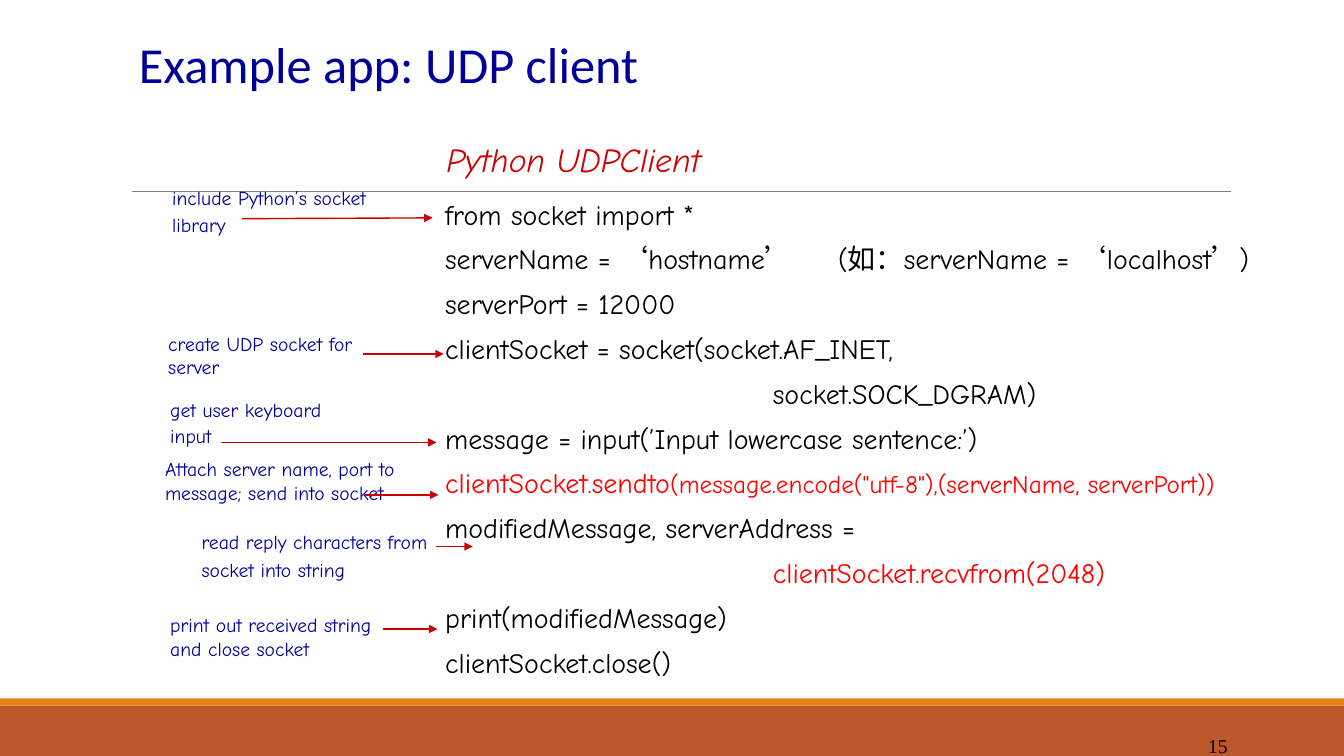
"""Build the slide that explains a UDP client in Python with annotated code."""
from dataclasses import dataclass

from lxml.etree import SubElement
from pptx import Presentation
from pptx.dml.color import RGBColor as RGB
from pptx.enum.shapes import MSO_CONNECTOR as CONN, MSO_SHAPE as SHAPE
from pptx.enum.text import MSO_ANCHOR as ANCHOR, PP_ALIGN as ALIGN
from pptx.oxml.ns import qn
from pptx.util import Cm, Pt


@dataclass(frozen=True)
class Theme:
    navy: str = "000099"
    crimson: str = "CC0000"
    red: str = "FF0000"
    black: str = "000000"
    gray: str = "808080"
    rust: str = "BD582C"
    orange: str = "E48312"
    head_font: str = "Calibri"
    body_font: str = "Comic Neue"
    page_font: str = "Times New Roman"
    title: int = 36
    heading: int = 24
    code: int = 20
    args: int = 18
    note: int = 14


T = Theme()
prs = Presentation()
prs.slide_width, prs.slide_height = Cm(33.87), Cm(19.05)
s = prs.slides.add_slide(prs.slide_layouts[6])


def add_text(box, paragraphs, size, color, font=T.body_font, anchor=ANCHOR.TOP, italic=False, **para):
    """Add a text box; a paragraph is a list of (text, overrides) runs."""
    tf = s.shapes.add_textbox(*map(Cm, box)).text_frame
    tf.word_wrap, tf.vertical_anchor = True, anchor
    for i, runs in enumerate(paragraphs):
        p = tf.paragraphs[0] if i == 0 else tf.add_paragraph()
        for name, value in para.items():
            setattr(p, name, value)
        for text, own in runs:
            r = p.add_run()
            r.text = text
            look = {"size": size, "color": color} | own
            for name, value in {"name": font, "size": Pt(look["size"]), "italic": italic}.items():
                setattr(r.font, name, value)
            r.font.color.rgb = RGB.from_string(look["color"])
    return tf


def add_line(ends, color, width, arrow=False):
    """Add a straight line, with an arrowhead at its end if asked."""
    c = s.shapes.add_connector(CONN.STRAIGHT, *map(Cm, ends))
    c.line.color.rgb, c.line.width = RGB.from_string(color), Pt(width)
    if arrow:
        SubElement(c.line._get_or_add_ln(), qn("a:tailEnd"), type="triangle")
    SubElement(c._element.spPr, qn("a:effectLst"))


for top, height, color in [(17.78, 1.27, T.rust), (17.6, 0.18, T.orange)]:
    sp = s.shapes.add_shape(SHAPE.RECTANGLE, 0, Cm(top), prs.slide_width, Cm(height))
    sp.shadow.inherit = False
    sp.fill.solid()
    sp.fill.fore_color.rgb = RGB.from_string(color)
    sp.line.fill.background()
add_line((3.33, 4.83, 31.01, 4.83), T.gray, 0.5)

add_text((3.25, 0.28, 21.59, 2.64), [[("Example app: UDP client", {})]],
         T.title, T.navy, T.head_font, ANCHOR.MIDDLE)

red = {"color": T.red}
code = [
    [("from socket import *", {})],
    [("serverName = ‘hostname’\t(如：serverName = ‘localhost’)", {})],
    [("serverPort = 12000", {})],
    [("clientSocket = socket(socket.AF_INET,", {})],
    [("socket.SOCK_DGRAM)", {})],
    [("message = input(’Input lowercase sentence:’)", {})],
    [("clientSocket.sendto", red),
     ('(message.encode("utf-8"),(serverName, serverPort))', red | {"size": T.args})],
    [("modifiedMessage, serverAddress =", {})],
    [("clientSocket.recvfrom(2048)", red)],
    [("print(modifiedMessage)", {})],
    [("clientSocket.close()", {})],
]
tf = add_text((10.97, 4.7, 22.86, 12.88), code, T.code, T.black,
              line_spacing=Pt(28), space_before=Pt(0.2 * T.code))
for p in tf.paragraphs:
    pPr = p._p.get_or_add_pPr()
    if p.text.startswith(("socket.", "clientSocket.recvfrom")):
        pPr.set("marL", str(Cm(8.26)))
    if "\t" in p.text:
        SubElement(SubElement(pPr, qn("a:tabLst")), qn("a:tab"), pos=str(Cm(9.9)), algn="l")

add_text((11, 3.38, 7.62, 1.3), [[("Python UDPClient", {})]], T.heading, T.crimson,
         italic=True, space_before=Pt(0.2 * T.heading))

tight = Pt(16)
notes = [
    (["include Python’s socket", "library"], (4.09, 4.6, 6.02, 1.52), tight, (6.1, 5.51, 10.9, 5.49)),
    (["create UDP socket for server"], (3.99, 8.23, 6.3, 1.45), None, (9.14, 8.92, 11.18, 8.92)),
    (["get user keyboard", "input"], (4.04, 9.93, 4.72, 1.52), tight, (5.56, 11.15, 11, 11.15)),
    (["Attach server name, port to message; send into socket"],
     (3.91, 11.4, 6.53, 2.06), None, (9.19, 12.47, 11.05, 12.47)),
    (["print out received string and close socket"],
     (4.04, 15.32, 6.53, 1.45), None, (9.65, 15.85, 11.02, 15.85)),
    (["read reply characters from", "socket into string"],
     (4.83, 13.23, 6.53, 2.16), None, (11, 13.77, 11.91, 13.77)),
]
for lines, box, spacing, ends in notes:
    add_text(box, [[(line, {})] for line in lines], T.note, T.navy,
             line_spacing=spacing, space_before=Pt(0.2 * T.note))
    add_line(ends, T.crimson, 1, arrow=True)

add_text((27.56, 18.29, 3.63, 1.02), [[("15", {})]], T.note, T.black, T.page_font,
         ANCHOR.MIDDLE, alignment=ALIGN.RIGHT)

prs.save("out.pptx")
